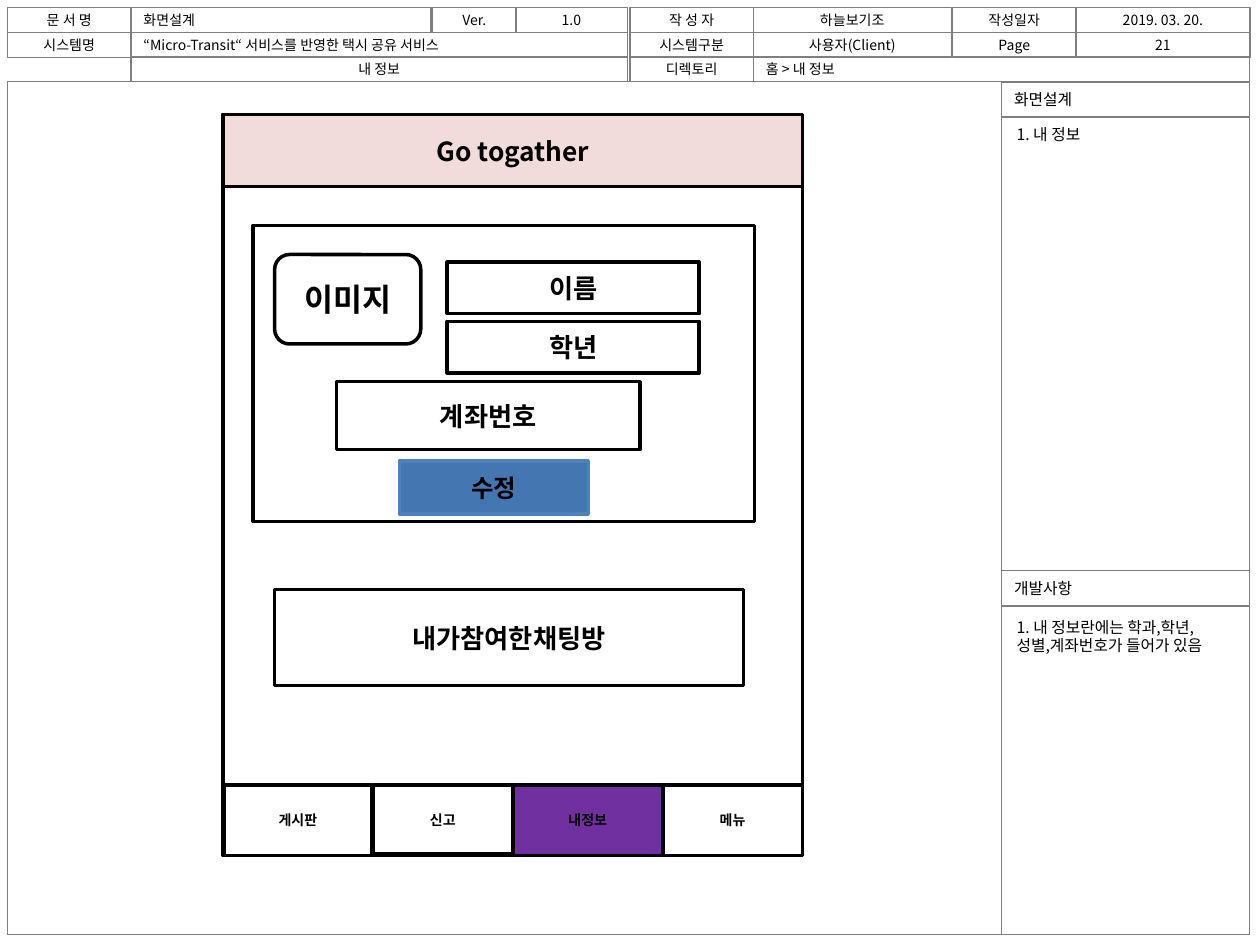
from lxml import etree
from pptx import Presentation
from pptx import util as u
from pptx.dml.color import RGBColor
from pptx.enum import shapes, text
from pptx.oxml.ns import qn

FONT = "Noto Sans CJK KR"
COLORS = {
    "ink": "000000",
    "grid": "7F7F7F",
    "paper": "FFFFFF",
    "title": "F2DCDB",
    "active": "7030A0",
    "button": "4476B2",
    "button_edge": "4F81BD",
}
ROW_TOPS = (0.06, 0.26, 0.45)
ROW_HEIGHT = 0.2
HEADER_ROWS = (
    ((0.06, 0.98, "문 서 명", True), (1.04, 2.38, "화면설계", False),
     (3.43, 0.67, "Ver.", True), (4.09, 0.89, "1.0", True),
     (5, 0.98, "작 성 자", True), (5.98, 1.57, "하늘보기조", True),
     (7.56, 0.98, "작성일자", True), (8.54, 1.38, "2019. 03. 20.", True)),
    ((0.06, 0.98, "시스템명", True),
     (1.04, 3.94, "“Micro-Transit“ 서비스를 반영한 택시 공유 서비스", False),
     (5, 0.98, "시스템구분", True), (5.98, 1.57, "사용자(Client)", True),
     (7.56, 0.98, "Page", True), (8.54, 1.38, "21", True)),
    ((1.04, 3.94, "내 정보", True), (5, 0.98, "디렉토리", True),
     (5.98, 3.94, "홈 > 내 정보", False)),
)


def rgb(name):
    return RGBColor.from_string(COLORS[name])


def write(frame, lines, size=8, bold=False, centered=True, middle=True, hanging=0):
    frame.word_wrap = True
    frame.vertical_anchor = text.MSO_ANCHOR.MIDDLE if middle else text.MSO_ANCHOR.TOP
    for index, line in enumerate(lines):
        paragraph = frame.paragraphs[0] if index == 0 else frame.add_paragraph()
        paragraph.alignment = text.PP_ALIGN.CENTER if centered else text.PP_ALIGN.LEFT
        if hanging:
            properties = paragraph._p.get_or_add_pPr()
            properties.set("marL", str(u.Inches(hanging)))
            properties.set("indent", str(-u.Inches(hanging)))
        run = paragraph.add_run()
        run.text = line
        run.font.size = u.Pt(size)
        run.font.bold = bold
        run.font.name = FONT
        run.font.color.rgb = rgb("ink")
        east_asian = etree.SubElement(run.font._element, qn("a:ea"))
        east_asian.set("typeface", FONT)


def add_box(slide, area, label="", fill=None, edge="ink", weight=2,
            form=shapes.MSO_SHAPE.RECTANGLE, **style):
    box = slide.shapes.add_shape(form, *map(u.Inches, area))
    box.shadow.inherit = False
    if fill:
        box.fill.solid()
        box.fill.fore_color.rgb = rgb(fill)
    else:
        box.fill.background()
    box.line.color.rgb = rgb(edge)
    box.line.width = u.Pt(weight)
    if label:
        write(box.text_frame, [label], **style)


def add_cell(slide, area, label="", **style):
    add_box(slide, area, label, edge="grid", weight=0.75, **style)


def add_note(slide, area, lines, **style):
    note = slide.shapes.add_textbox(*map(u.Inches, area))
    write(note.text_frame, lines, size=9, centered=False, middle=False, **style)


def add_document_form(slide):
    add_cell(slide, (0.06, 0.65, 9.86, 6.77))
    for top, row in zip(ROW_TOPS, HEADER_ROWS):
        for left, width, label, centered in row:
            add_cell(slide, (left, top, width, ROW_HEIGHT), label, centered=centered)
    for top, height, label in ((0.65, 0.28, "화면설계"), (0.93, 3.6, ""),
                               (4.53, 0.28, "개발사항"), (4.81, 2.61, "")):
        add_cell(slide, (7.95, top, 1.97, height), label, size=9, centered=False)
    add_note(slide, (7.97, 0.94, 2.03, 0.25), ["1. 내 정보"], hanging=0.38)
    add_note(slide, (7.97, 4.85, 1.95, 0.4),
             ["1. 내 정보란에는 학과,학년,", "성별,계좌번호가 들어가 있음"])


def add_app_screen(slide):
    add_box(slide, (1.77, 0.91, 4.6, 5.88), fill="paper")
    add_box(slide, (1.77, 0.91, 4.6, 0.57), "Go togather", fill="title", size=15, bold=True)
    add_box(slide, (2.01, 1.79, 3.98, 2.35), fill="paper")
    add_box(slide, (2.18, 2.02, 1.16, 0.71), "이미지", fill="paper",
            form=shapes.MSO_SHAPE.ROUNDED_RECTANGLE, size=18, bold=True)
    for area, label in (((3.55, 2.08, 2, 0.41), "이름"),
                        ((3.55, 2.55, 2, 0.41), "학년"),
                        ((2.67, 3.03, 2.41, 0.54), "계좌번호"),
                        ((2.18, 4.68, 3.72, 0.76), "내가참여한채팅방")):
        add_box(slide, area, label, fill="paper", size=15, bold=True)
    add_box(slide, (3.17, 3.66, 1.5, 0.42), "수정", fill="button",
            edge="button_edge", size=14, bold=True)
    for left, width, height, label, fill in ((1.78, 1.17, 0.56, "게시판", None),
                                             (4.07, 1.19, 0.56, "내정보", "active"),
                                             (5.26, 1.11, 0.56, "메뉴", None),
                                             (2.96, 1.11, 0.55, "신고", None)):
        add_box(slide, (left, 6.23, width, height), label, fill=fill, bold=True)


def main():
    deck = Presentation()
    deck.slide_width = u.Inches(10)
    deck.slide_height = u.Inches(7.5)
    slide = deck.slides.add_slide(deck.slide_layouts[6])
    add_document_form(slide)
    add_app_screen(slide)
    deck.save("out.pptx")


if __name__ == "__main__":
    main()
